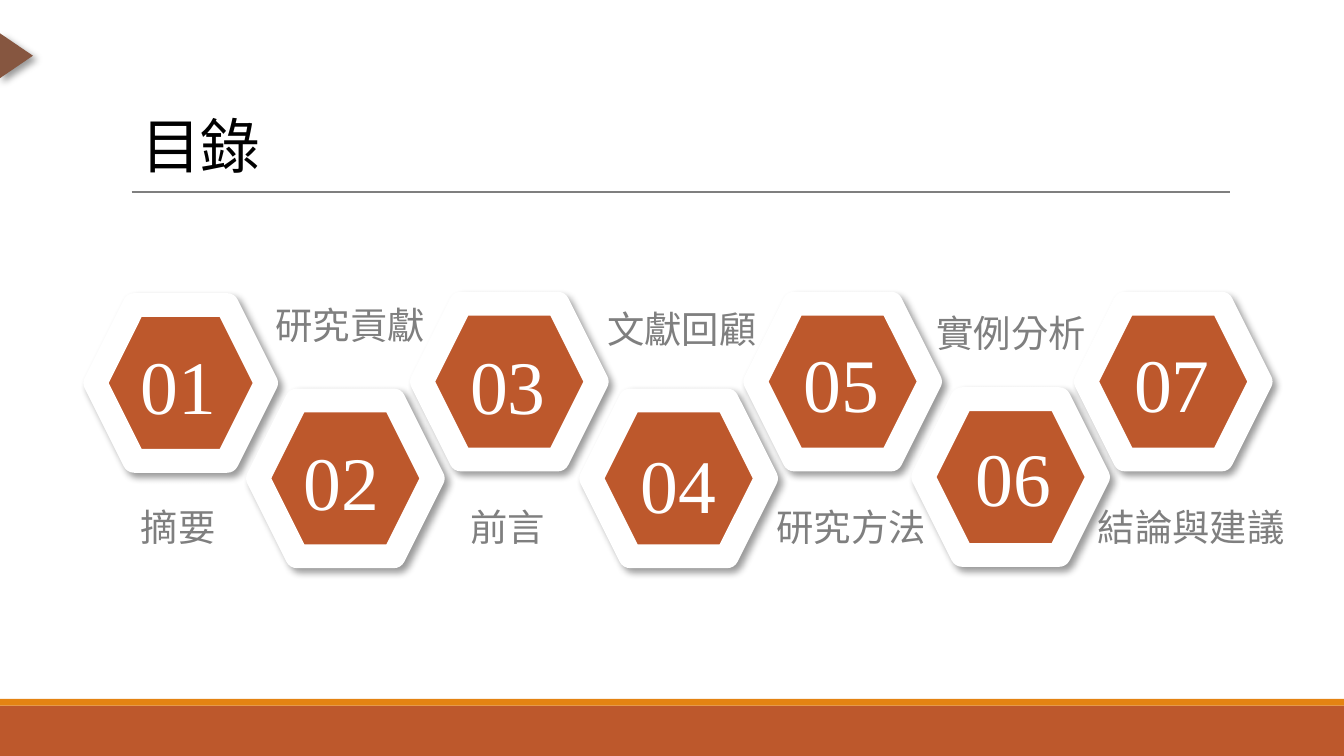
"""Build the contents slide: seven numbered hexagons with chapter labels."""
from lxml import etree
from pptx import Presentation, util as u
from pptx.dml.color import RGBColor
from pptx.enum import shapes, text
from pptx.enum.lang import MSO_LANGUAGE_ID as Lang
from pptx.oxml import parse_xml

TITLE = "目錄"
ITEMS = [
    ("摘要", (0.71, 2.27, 1.27), (0.95, 2.47), (0.95, 3.7, 0.78)),
    ("研究貢獻", (1.92, 2.98, 1.3), (2.16, 3.19), (1.95, 2.2, 1.36)),
    ("前言", (3.14, 2.26, 1.3), (3.4, 2.47), (3.4, 3.7, 0.83)),
    ("文獻回顧", (4.4, 2.98, 1.3), (4.67, 3.21), (4.42, 2.23, 1.34)),
    ("研究方法", (5.62, 2.26, 1.3), (5.88, 2.46), (5.68, 3.7, 1.34)),
    ("實例分析", (6.87, 2.97, 1.3), (7.16, 3.16), (6.87, 2.26, 1.36)),
    ("結論與建議", (8.08, 2.26, 1.3), (8.34, 2.46), (8.07, 3.7, 1.62)),
]
COLORS = {"rust": "BD582C", "gold": "E48312", "brown": "865640",
          "gray": "7F7F7F", "white": "FFFFFF", "black": "000000"}
SERIF = "Times New Roman"
NS = "http://schemas.openxmlformats.org/drawingml/2006/main"
SHADE = f"""<a:effectLst xmlns:a="{NS}">
<a:outerShdw blurRad="50800" dist="38100" dir="2700000" algn="tl" rotWithShape="0">
<a:srgbClr val="000000"><a:alpha val="40000"/></a:srgbClr></a:outerShdw></a:effectLst>"""


def tint(name):
    return RGBColor.from_string(COLORS[name])


def draw(home, kind, box, fill, edge=None, shade=False):
    item = home.add_shape(kind, *map(u.Inches, box))
    item.fill.solid()
    item.fill.fore_color.rgb = tint(fill)
    if edge:
        item.line.color.rgb = tint(edge)
        item.line.width = u.Pt(12.75)
    else:
        item.line.fill.background()
    if shade:
        item._element.spPr.append(parse_xml(SHADE))
    else:
        item.shadow.inherit = False
    return item


def write(item, words, size, face, color, align=text.PP_ALIGN.LEFT, wrap=True):
    frame = item.text_frame
    frame.text = words
    frame.word_wrap = wrap
    frame.auto_size = text.MSO_AUTO_SIZE.SHAPE_TO_FIT_TEXT
    frame.vertical_anchor = text.MSO_ANCHOR.TOP
    para = frame.paragraphs[0]
    para.alignment = align
    font = para.runs[0].font
    font.size, font.name = u.Pt(size), face
    font.color.rgb = tint(color)
    font.language_id = Lang.TRADITIONAL_CHINESE


def main():
    deck = Presentation()
    deck.slide_width = u.Inches(10)
    deck.slide_height = deck.slide_width * 9 // 16
    slide = deck.slides.add_slide(deck.slide_layouts[5])
    home = slide.shapes
    kinds = shapes.MSO_SHAPE

    draw(home, kinds.RECTANGLE, (0, 5.25, 10, 0.38), "rust")
    draw(home, kinds.RECTANGLE, (0, 5.2, 10, 0.05), "gold")
    rule = home.add_connector(shapes.MSO_CONNECTOR.STRAIGHT,
                              *map(u.Inches, (0.98, 1.43, 9.15, 1.43)))
    rule.line.color.rgb = tint("gray")
    rule.line.width = u.Pt(0.75)
    etree.SubElement(rule._element.spPr, f"{{{NS}}}effectLst")

    head = home.title
    head.left, head.top, head.width, head.height = map(
        u.Inches, (0.95, 0.76, 1.1, 0.64))
    write(head, TITLE, 32, "Calibri", "black", wrap=False)

    mark = draw(home, kinds.ISOSCELES_TRIANGLE, (-0.05, 0.29, 0.34, 0.25),
                "brown", shade=True)
    mark.rotation = 90

    for i, (_, cell, spot, _) in enumerate(ITEMS, 1):
        group = home.add_group_shape().shapes
        hexa = draw(group, kinds.HEXAGON, (*cell, 1.16), "rust", "white", True)
        hexa.adjustments[0] = 0.25
        num = group.add_textbox(*map(u.Inches, (*spot, 0.77, 0.78)))
        write(num, f"{i:02}", 40.5, SERIF, "white", text.PP_ALIGN.JUSTIFY)

    for name, _, _, place in ITEMS:
        label = home.add_textbox(*map(u.Inches, (*place, 0.44)))
        write(label, name, 20, SERIF, "gray")

    deck.save("out.pptx")


if __name__ == "__main__":
    main()
